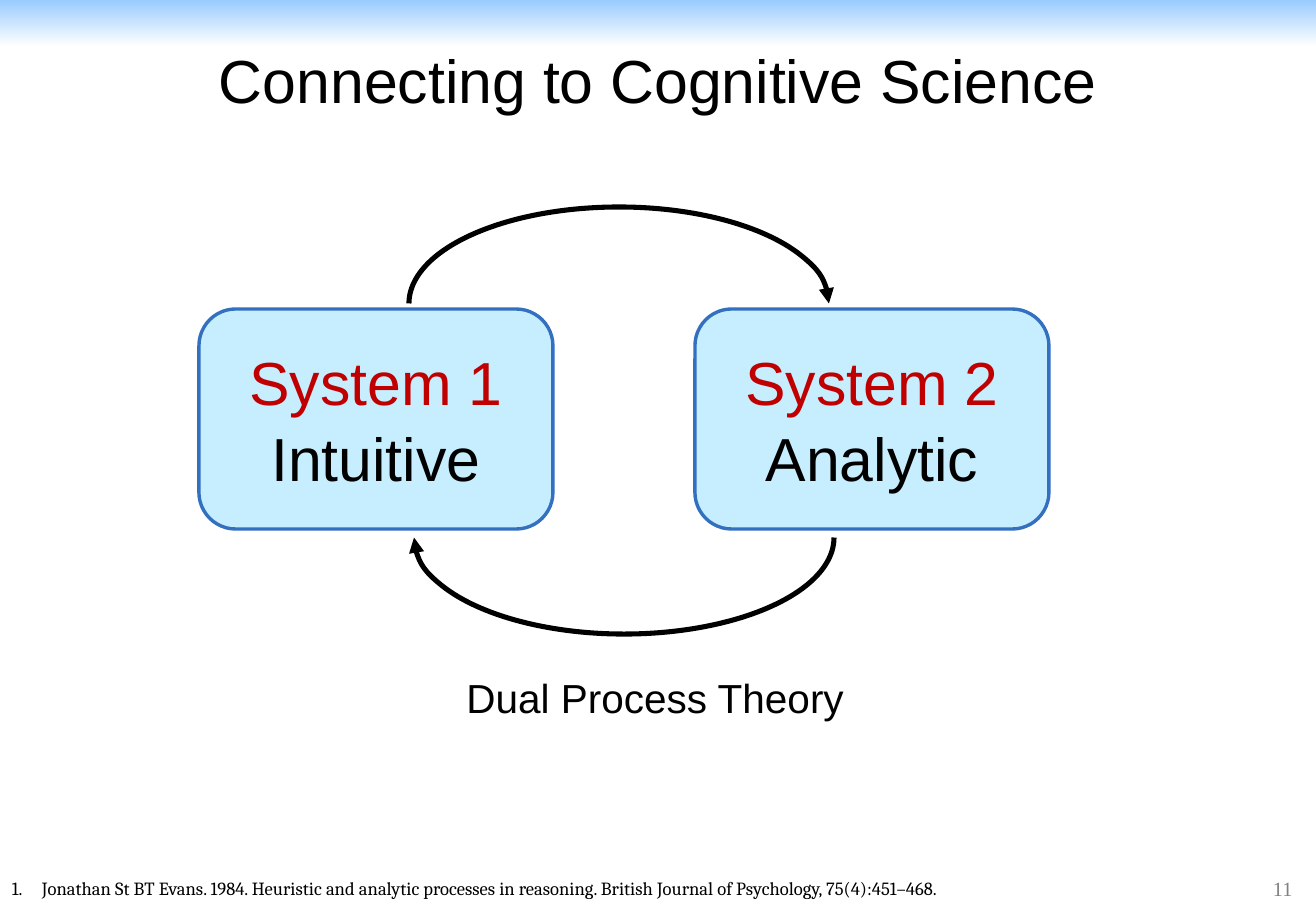
"""Build the slide that links two systems of thought in dual process theory."""
from lxml.etree import SubElement
from pptx import Presentation
from pptx.dml.color import RGBColor
from pptx.enum.shapes import MSO_SHAPE
from pptx.enum.text import MSO_ANCHOR, PP_ALIGN
from pptx.oxml.ns import qn
from pptx.util import Emu, Pt

TITLE = "Connecting to Cognitive Science"
CAPTION = "Dual Process Theory"
REFERENCE = ("Jonathan St BT Evans. 1984. Heuristic and analytic processes in reasoning. "
             "British Journal of Psychology, 75(4):451–468.")
PAGE_NUMBER = "11"
SYSTEMS = [("System 1", "Intuitive"), ("System 2", "Analytic")]
ARROWS = [(409, 207, 0), (414, 441, 180)]

COLOURS = {"black": "000000", "white": "FFFFFF", "sky": "99CCFF", "grey": "808080",
           "panel": "C7EEFE", "border": "3470C0", "red": "C00000"}
EMU_PER_PX = 914400 / 121.5
PAGE_WIDTH, PAGE_HEIGHT = 1316, 911
PANEL_LEFT, PANEL_TOP, PANEL_STEP = 199, 309, 496
PANEL_SIZE = (354, 220)
ARROW_SIZE = (420, 193)
REFERENCE_INDENT = 30


def px(length):
    return Emu(round(length * EMU_PER_PX))


def place(*lengths):
    return [px(length) for length in lengths]


def colour(name):
    return RGBColor.from_string(COLOURS[name])


def style(para, size, name="black", font="Arial", align=PP_ALIGN.CENTER):
    para.alignment = align
    for span in para.runs:
        span.font.size = Pt(size)
        span.font.name = font
        span.font.color.rgb = colour(name)


def add_text(slide, bounds, text, anchor=MSO_ANCHOR.MIDDLE):
    frame = slide.shapes.add_textbox(*place(*bounds)).text_frame
    frame.word_wrap = True
    frame.vertical_anchor = anchor
    frame.text = text
    return frame.paragraphs[0]


def add_shape(slide, kind, bounds):
    shape = slide.shapes.add_shape(kind, *place(*bounds))
    shape.shadow.inherit = False
    return shape


def add_band(slide):
    band = add_shape(slide, MSO_SHAPE.RECTANGLE, (0, 0, PAGE_WIDTH, 47))
    band.line.fill.background()
    band.fill.gradient()
    band.fill.gradient_angle = 270
    for stop, name, position in zip(band.fill.gradient_stops, ("sky", "white"), (0, 1)):
        stop.color.rgb = colour(name)
        stop.position = position


def add_title(slide):
    title = slide.shapes.title
    title.left, title.top, title.width, title.height = place(36, 26, 1244, 106)
    title.text_frame.text = TITLE
    title.text_frame.vertical_anchor = MSO_ANCHOR.MIDDLE
    style(title.text_frame.paragraphs[0], 36)


def add_panel(slide, index, lines):
    left = PANEL_LEFT + index * PANEL_STEP
    panel = add_shape(slide, MSO_SHAPE.ROUNDED_RECTANGLE, (left, PANEL_TOP, *PANEL_SIZE))
    panel.fill.solid()
    panel.fill.fore_color.rgb = colour("panel")
    panel.line.color.rgb = colour("border")
    panel.line.width = Pt(2)
    frame = panel.text_frame
    frame.vertical_anchor = MSO_ANCHOR.MIDDLE
    frame.text = "\n".join(lines)
    for para, name in zip(frame.paragraphs, ("red", "black")):
        style(para, 36, name)
    frame.paragraphs[1].space_before = Pt(2)


def add_arrow(slide, left, top, rotation):
    arrow = add_shape(slide, MSO_SHAPE.ARC, (left, top, *ARROW_SIZE))
    arrow.adjustments[0] = 108
    arrow.adjustments[1] = 0
    arrow.rotation = rotation
    arrow.fill.background()
    arrow.line.color.rgb = colour("black")
    arrow.line.width = Pt(3)
    SubElement(arrow.line._get_or_add_ln(), qn("a:tailEnd"), type="triangle")


def add_reference(slide):
    para = add_text(slide, (0, 871, PAGE_WIDTH, 35), REFERENCE, MSO_ANCHOR.TOP)
    properties = para._p.get_or_add_pPr()
    properties.set("marL", str(px(REFERENCE_INDENT)))
    properties.set("indent", str(-px(REFERENCE_INDENT)))
    SubElement(properties, qn("a:buFont"), typeface="Cambria")
    SubElement(properties, qn("a:buAutoNum"), type="arabicPeriod")
    style(para, 11, font="Cambria", align=PP_ALIGN.LEFT)


def main():
    deck = Presentation()
    deck.slide_width, deck.slide_height = place(PAGE_WIDTH, PAGE_HEIGHT)
    slide = deck.slides.add_slide(deck.slide_layouts[5])
    add_band(slide)
    number = add_text(slide, (1261, 858, 55, 61), PAGE_NUMBER)
    style(number, 12, "grey", "Times New Roman", PP_ALIGN.LEFT)
    add_title(slide)
    style(add_text(slide, (375, 644, 560, 106), CAPTION), 24)
    for index, lines in enumerate(SYSTEMS):
        add_panel(slide, index, lines)
    for left, top, rotation in ARROWS:
        add_arrow(slide, left, top, rotation)
    add_reference(slide)
    deck.save("out.pptx")


if __name__ == "__main__":
    main()
